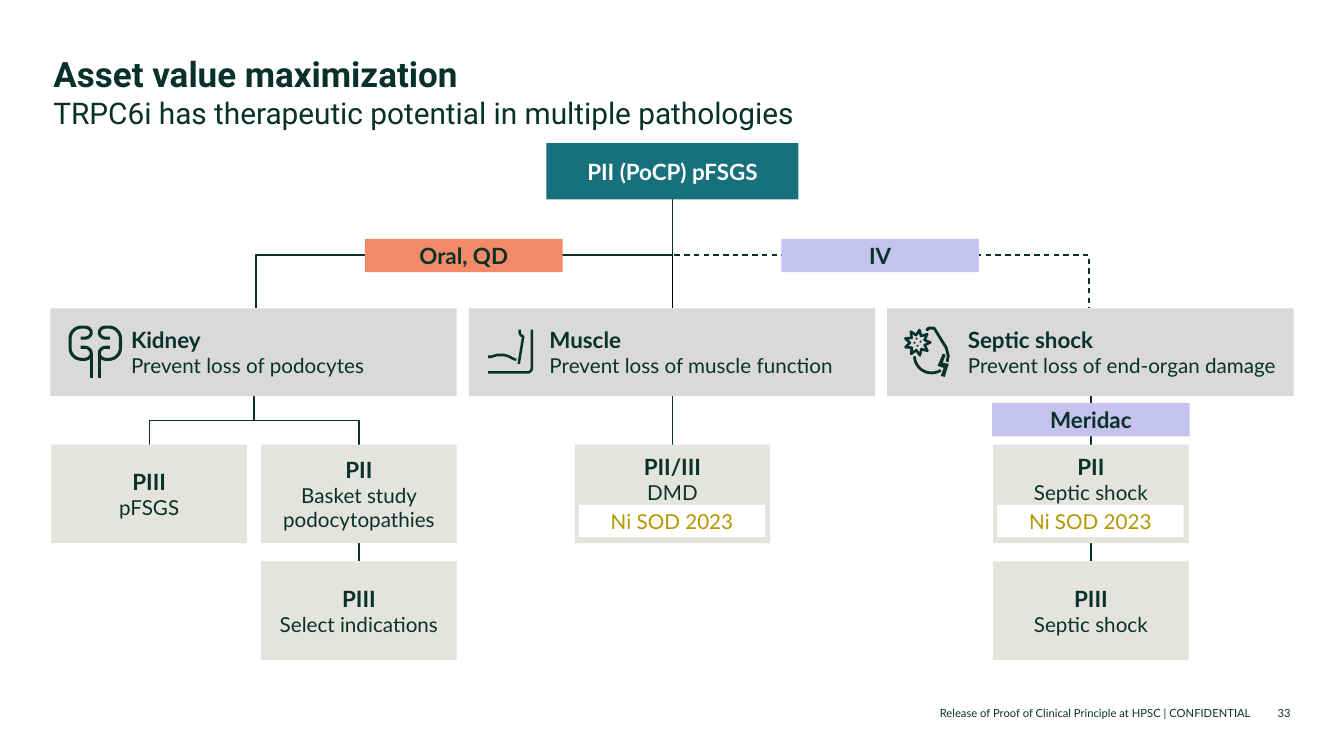
from math import cos, radians, sin
from lxml.etree import SubElement
from pptx import Presentation
from pptx.dml.color import RGBColor
from pptx.enum.dml import MSO_LINE_DASH_STYLE as Dash
from pptx.enum.shapes import MSO_CONNECTOR as Connector, MSO_SHAPE as Shape
from pptx.enum.text import MSO_ANCHOR as Anchor, PP_ALIGN as Align
from pptx.oxml.ns import qn
from pptx.util import Pt

PX = 9144
FINE = PX / 10
INK = RGBColor(0x08, 0x31, 0x2A)
TEAL = RGBColor(0x17, 0x71, 0x7D)
CORAL = RGBColor(0xF5, 0x8A, 0x68)
LILAC = RGBColor(0xC5, 0xC3, 0xEE)
GREY = RGBColor(0xD9, 0xD9, 0xD9)
STONE = RGBColor(0xE5, 0xE3, 0xDE)
GOLD = RGBColor(0xB3, 0x96, 0x00)
WHITE = RGBColor(0xFF, 0xFF, 0xFF)
BLACK = RGBColor(0, 0, 0)

HEAD = {"name": "Lato", "size": Pt(16), "bold": True}
BODY = {"name": "Lato", "size": Pt(14.7), "bold": False}
SMALL = {"name": "Lato", "size": Pt(8), "bold": False}
TITLE = {"name": "Roboto", "size": Pt(25), "bold": True}
SUBTITLE = {"name": "Roboto", "size": Pt(21.3), "bold": False}

heading = [("Asset value maximization", TITLE),
           ("TRPC6i has therapeutic potential in multiple pathologies", SUBTITLE)]
footer = "Release of Proof of Clinical Principle at HPSC | CONFIDENTIAL"
page_number = "33"
root = "PII (PoCP) pFSGS"
indications = [("Kidney", "Prevent loss of podocytes"),
               ("Muscle", "Prevent loss of muscle function"),
               ("Septic shock", "Prevent loss of end-organ damage")]
tags = [("Oral, QD", 460, 237, CORAL), ("IV", 873, 237, LILAC),
        ("Meridac", 1082, 400, LILAC)]
studies = [("PIII", "pFSGS", 148, 0, None),
           ("PII", "Basket study podocytopathies", 356, 0, None),
           ("PIII", "Select indications", 356, 1, None),
           ("PII/III", "DMD", 667, 0, "Ni SOD 2023"),
           ("PII", "Septic shock", 1082, 0, "Ni SOD 2023"),
           ("PIII", "Septic shock", 1082, 1, None)]

TRUNK, BRANCH_Y, REACH = 667, 253, 413
HEADER_Y, HEADER_W, HEADER_H, HEADER_STEP = 306, 403, 87, 415
STUDY_Y, STUDY_W, STUDY_H, STUDY_STEP = 441, 194, 98, 116
FORK_Y = 417
HEADER_END = HEADER_Y + HEADER_H

deck = Presentation()
deck.slide_width, deck.slide_height = 1333 * PX, 750 * PX
slide = deck.slides.add_slide(deck.slide_layouts[6])
shapes = slide.shapes


def write(holder, lines, color=INK, align=Align.CENTER, anchor=Anchor.MIDDLE,
          insets=(13, 7, 13, 7)):
    frame = holder.text_frame
    left, top, right, bottom = (inset * PX for inset in insets)
    layout = {"word_wrap": True, "vertical_anchor": anchor, "margin_left": left,
              "margin_top": top, "margin_right": right, "margin_bottom": bottom}
    for key, value in layout.items():
        setattr(frame, key, value)
    for index, (words, style) in enumerate(lines):
        line = frame.add_paragraph() if index else frame.paragraphs[0]
        line.alignment = align
        run = line.add_run()
        run.text = words
        for key, value in style.items():
            setattr(run.font, key, value)
        run.font.color.rgb = color


def paint(shape, fill):
    shape.shadow.inherit = False
    shape.fill.solid()
    shape.fill.fore_color.rgb = fill
    shape.line.fill.background()


def box(left, top, width, height, fill, lines, **text):
    panel = shapes.add_shape(Shape.RECTANGLE, left * PX, top * PX, width * PX, height * PX)
    paint(panel, fill)
    write(panel, lines, **text)


def label(left, top, width, height, lines, **text):
    area = shapes.add_textbox(left * PX, top * PX, width * PX, height * PX)
    write(area, lines, insets=(0, 0, 0, 0), **text)


def link(x1, y1, x2, y2, color=INK, width=1):
    line = shapes.add_connector(Connector.STRAIGHT, x1 * PX, y1 * PX, x2 * PX, y2 * PX)
    line.line.color.rgb, line.line.width = color, Pt(width)
    SubElement(line._element.spPr, qn("a:effectLst"))


def outline(points, scale, closed=False):
    builder = shapes.build_freeform(*points[0], scale=scale)
    builder.add_line_segments(points[1:], close=closed)
    return builder.convert_to_shape()


def stroke(points, width=1, scale=PX, closed=False, dash=None):
    route = outline(points, scale, closed)
    route.shadow.inherit = False
    route.fill.background()
    route.line.color.rgb, route.line.width = INK, Pt(width)
    if dash:
        route.line.dash_style = dash


def arc(cx, cy, rx, ry, start, end, steps=12):
    angles = [radians(start + (end - start) * i / steps) for i in range(steps + 1)]
    return [(round(cx + rx * cos(a)), round(cy + ry * sin(a))) for a in angles]


for side, dash in ((1, Dash.DASH), (-1, None)):
    end = TRUNK + side * REACH
    stroke([(TRUNK, 197), (TRUNK, BRANCH_Y), (end, BRANCH_Y), (end, HEADER_Y)], dash=dash)
stroke([(148, STUDY_Y), (148, FORK_Y), (356, FORK_Y), (356, STUDY_Y)])
link(252, HEADER_END, 252, FORK_Y)
link(356, STUDY_Y, 356, STUDY_Y + STUDY_STEP)
link(TRUNK, HEADER_END, TRUNK, STUDY_Y)
link(1082, HEADER_END, 1082, STUDY_Y + STUDY_STEP)
link(TRUNK, BRANCH_Y, TRUNK, HEADER_Y, BLACK, 0.5)

label(53, 52, 1228, 79, heading, align=Align.LEFT, anchor=Anchor.TOP)
label(690, 683, 551, 31, [(footer, SMALL)], align=Align.RIGHT, anchor=Anchor.BOTTOM)
label(1249, 683, 31, 31, [(page_number, SMALL)], align=Align.RIGHT, anchor=Anchor.BOTTOM)
box(542, 142, 250, 56, TEAL, [(root, HEAD)], color=WHITE)

for index, (organ, aim) in enumerate(indications):
    box(50 + index * HEADER_STEP, HEADER_Y, HEADER_W, HEADER_H, GREY,
        [(organ, HEAD), (aim, BODY)], align=Align.LEFT, insets=(80, 7, 0, 7))

for phase, study, center, row, note in studies:
    top = STUDY_Y + row * STUDY_STEP
    box(center - STUDY_W // 2, top, STUDY_W, STUDY_H, STONE,
        [(phase, HEAD), (study, BODY)], insets=(13, 7, 13, 37 if note else 7))
    if note:
        box(center - 93, top + 60, 185, 32, WHITE, [(note, BODY)], color=GOLD,
            insets=(10, 5, 10, 5))

for name, center, top, fill in tags:
    box(center - 98, top, 196, 33, fill, [(name, HEAD)])

kidney = ([(800, 3355)] + arc(840, 3300, 65, 55, 90, -90)
          + arc(810, 3360, 115, 115, -90, -180) + arc(810, 3450, 115, 115, 180, 90)
          + arc(840, 3505, 65, 60, 90, -90) + [(800, 3445)])
ureter = [(905, 3505), (905, 3750)]
for part in (kidney, ureter):
    stroke(part, 2.2, FINE)
    stroke([(1890 - x, y) for x, y in part], 2.2, FINE)

forearm = [(4840, 3540), (4870, 3540), (4930, 3522), (5000, 3522), (5050, 3538),
           (5090, 3560), (5120, 3570)]
elbow = [(5275, 3270)] + arc(5230, 3650, 45, 45, 0, 90) + [(4840, 3695)]
biceps = [(5155, 3270), (5155, 3300), (5165, 3325), (5190, 3340), (5145, 3610)]
for part in (forearm, elbow, biceps):
    stroke(part, 1.8, FINE)

germ = [arc(9100, 3400, r, r, a, a, 1)[0]
        for a, r in ((-81 + 20 * i, 75 if i % 2 else 128) for i in range(18))]
stroke(germ, 1.8, FINE, closed=True)
for x, y in ((908, 335), (906, 339), (909, 342), (912, 338)):
    paint(shapes.add_shape(Shape.OVAL, x * PX, y * PX, 2 * PX, 2 * PX), INK)
membrane = [(9190, 3280), (9210, 3255), (9265, 3255), (9385, 3450), (9405, 3530), (9395, 3590)]
for part in (membrane, arc(9240, 3530, 170, 170, 178, 58)):
    stroke(part, 2, FINE)
bolt = [(941, 361), (937, 374), (933, 373), (936, 365), (930, 363), (935, 351),
        (938, 352), (935, 360)]
paint(outline(bolt, PX, True), INK)

deck.save("out.pptx")
